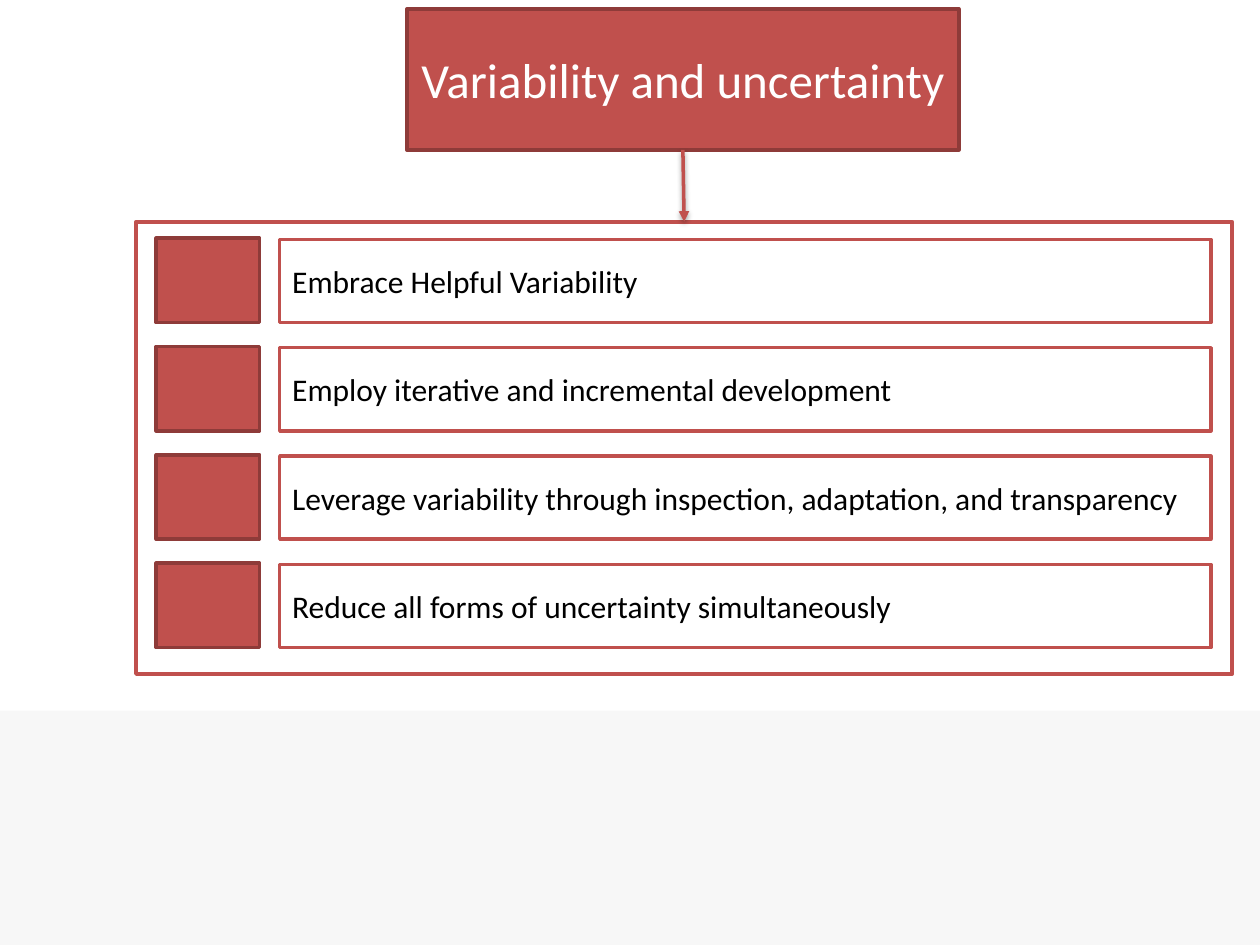
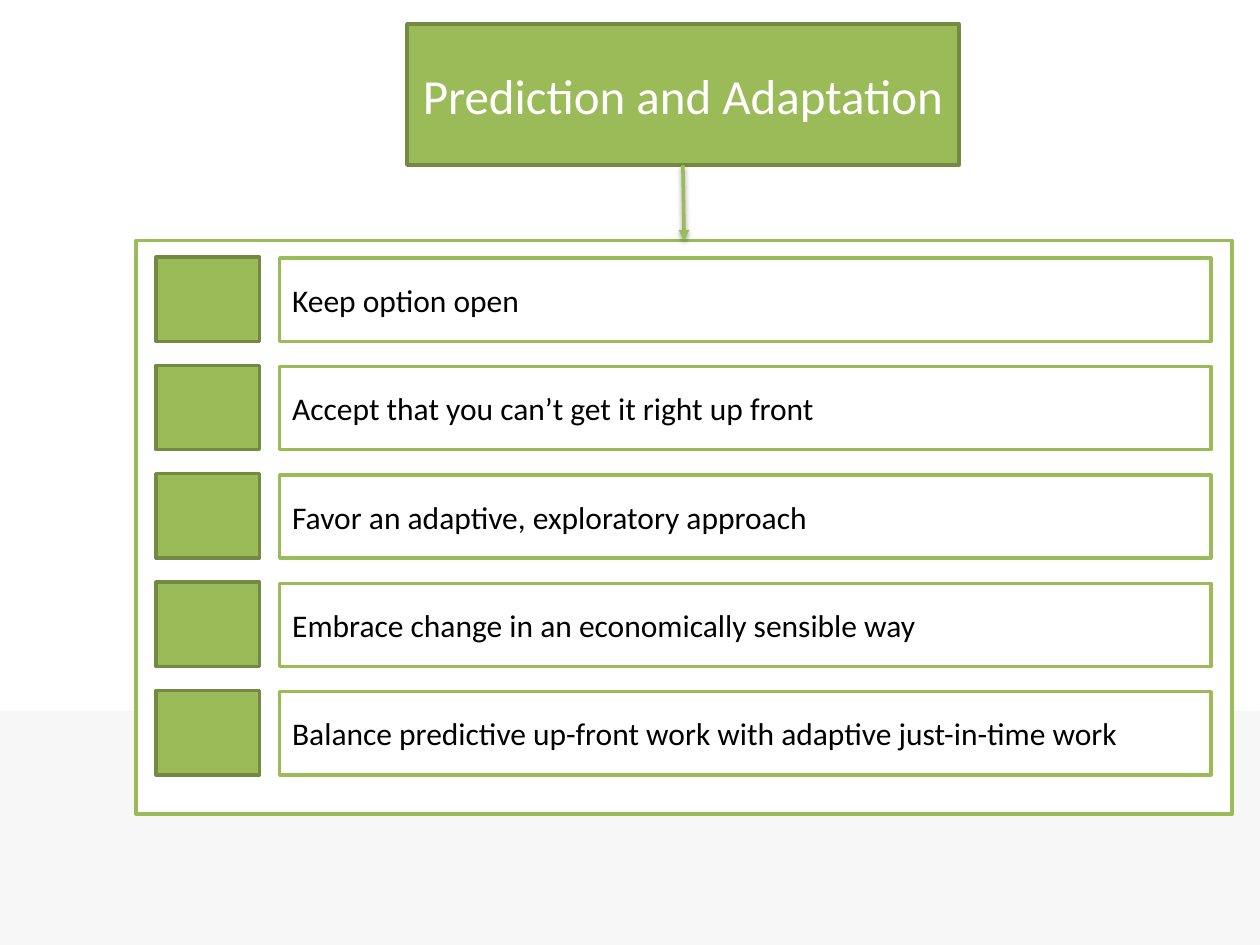
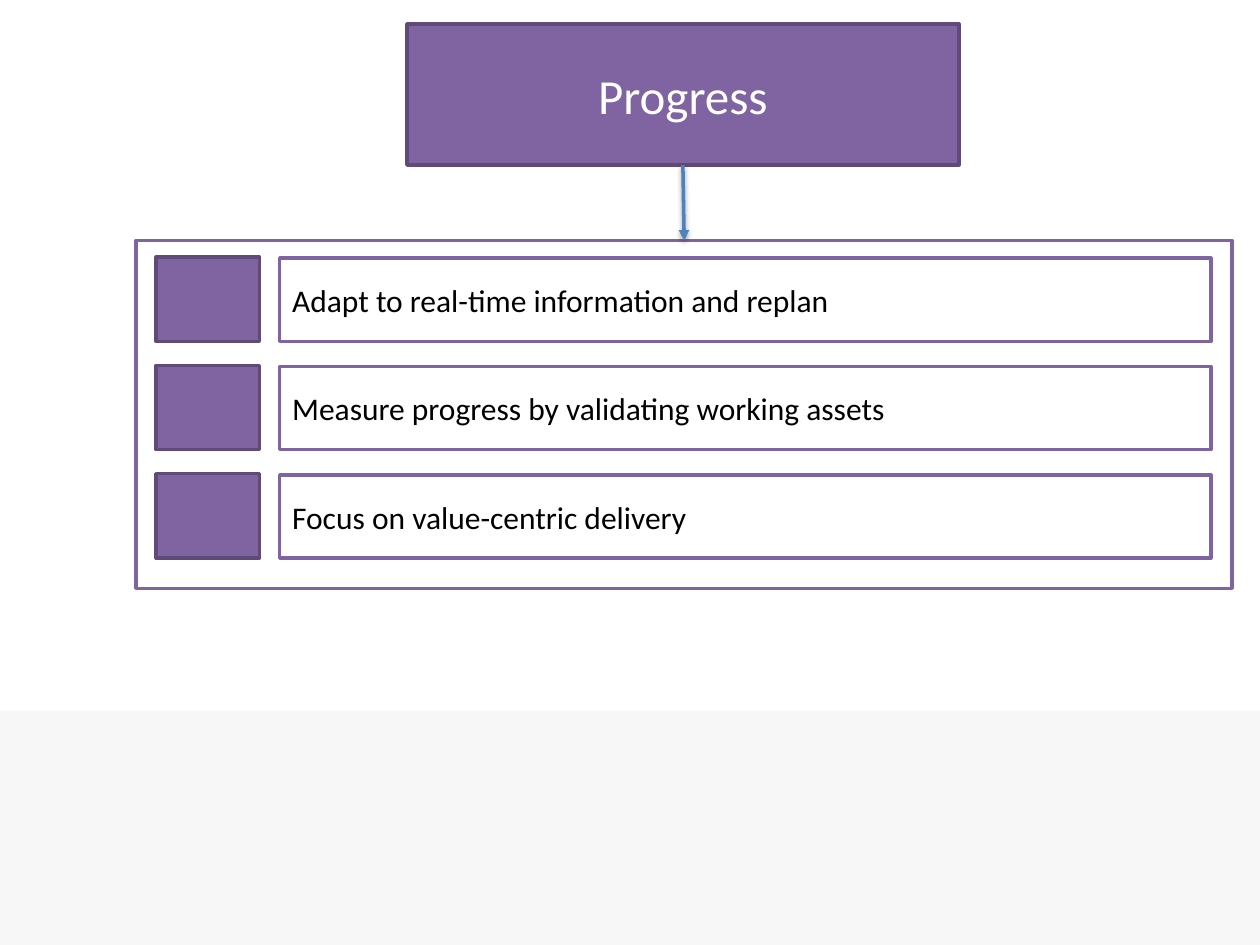
from lxml.etree import SubElement
from pptx import Presentation
from pptx.dml.color import RGBColor
from pptx.enum.shapes import MSO_CONNECTOR, MSO_SHAPE
from pptx.enum.text import MSO_ANCHOR, MSO_AUTO_SIZE, PP_ALIGN
from pptx.oxml import parse_xml
from pptx.oxml.ns import nsdecls, qn
from pptx.util import Inches, Pt

HUES = {
    "white": "FFFFFF", "black": "000000", "band": "F7F7F7",
    "red": "C0504D", "red edge": "8E3B39",
    "green": "9BBB59", "green edge": "738A42",
    "purple": "8064A2", "purple edge": "5F4A78",
    "blue": "4F81BD",
}
FONT = "Calibri"

TOPICS = [
    {"title": "Variability and uncertainty", "hue": "red", "arrow": "red",
     "top": 0.07, "gap": 0.57, "tall": 3.59,
     "items": ["Embrace Helpful Variability",
               "Employ iterative and incremental development",
               "Leverage variability through inspection, adaptation, and transparency",
               "Reduce all forms of uncertainty simultaneously"]},
    {"title": "Prediction and Adaptation", "hue": "green", "arrow": "green",
     "top": 0.19, "gap": 0.6, "tall": 4.55,
     "items": ["Keep option open",
               "Accept that you can’t get it right up front",
               "Favor an adaptive, exploratory approach",
               "Embrace change in an economically sensible way",
               "Balance predictive up-front work with adaptive just-in-time work"]},
    {"title": "Progress", "hue": "purple", "arrow": "blue",
     "top": 0.19, "gap": 0.6, "tall": 2.76,
     "items": ["Adapt to real-time information and replan",
               "Measure progress by validating working assets",
               "Focus on value-centric delivery"]},
]

HEAD = 1.12
INSET = 0.13
PITCH = 0.86

SHADOW = f"""<a:effectLst {nsdecls("a")}>
<a:outerShdw blurRad="40000" dist="20000" dir="5400000" rotWithShape="0">
<a:srgbClr val="{HUES["black"]}"><a:alpha val="38000"/></a:srgbClr>
</a:outerShdw></a:effectLst>"""


def tint(name):
    return RGBColor.from_string(HUES[name])


def paint(shape, fill, edge=None):
    shape.fill.solid()
    shape.fill.fore_color.rgb = tint(fill)
    if edge:
        shape.line.color.rgb = tint(edge)
        shape.line.width = Pt(2)
    else:
        shape.line.fill.background()


def add_box(slide, left, top, width, height, fill, edge=None):
    box = slide.shapes.add_shape(MSO_SHAPE.RECTANGLE, Inches(left), Inches(top),
                                 Inches(width), Inches(height))
    box.shadow.inherit = False
    paint(box, fill, edge)
    return box


def write(shape, text, size, hue, align):
    frame = shape.text_frame
    frame.text = text
    frame.word_wrap = True
    frame.auto_size = MSO_AUTO_SIZE.NONE
    frame.vertical_anchor = MSO_ANCHOR.MIDDLE
    para = frame.paragraphs[0]
    para.alignment = align
    para.font.name = FONT
    para.font.size = Pt(size)
    para.font.color.rgb = tint(hue)


def add_title(slide, topic):
    title = slide.shapes.title
    title.left, title.top = Inches(3.23), Inches(topic["top"])
    title.width, title.height = Inches(4.38), Inches(HEAD)
    paint(title, topic["hue"], topic["hue"] + " edge")
    write(title, topic["title"], 28, "white", PP_ALIGN.CENTER)
    return title


def add_arrow(slide, start, end, hue):
    arrow = slide.shapes.add_connector(MSO_CONNECTOR.STRAIGHT, 0, 0, 0, 0)
    arrow.begin_connect(start, 2)
    arrow.end_connect(end, 0)
    arrow.line.color.rgb = tint(hue)
    arrow.line.width = Pt(2)
    SubElement(arrow.line._get_or_add_ln(), qn("a:tailEnd"), type="triangle")
    arrow.element.spPr.append(parse_xml(SHADOW))


def add_topic(slide, topic):
    hue = topic["hue"]
    title = add_title(slide, topic)
    top = topic["top"] + HEAD + topic["gap"]
    panel = add_box(slide, 1.08, top, 8.7, topic["tall"], "white", hue)
    add_arrow(slide, title, panel, topic["arrow"])
    for row, text in enumerate(topic["items"]):
        y = top + INSET + row * PITCH
        label = add_box(slide, 2.22, y + 0.01, 7.39, 0.66, "white", hue)
        write(label, text, 18, "black", PP_ALIGN.LEFT)
        add_box(slide, 1.24, y, 0.82, 0.67, hue, hue + " edge")


def main():
    deck = Presentation()
    deck.slide_width, deck.slide_height = Inches(10), Inches(7.5)
    layout = deck.slide_layouts[5]
    slides = [deck.slides.add_slide(layout) for _ in TOPICS]
    band = add_box(slides[0], 0, 5.64, 10, 1.86, "band")
    deck.slide_master.shapes.element.insert(2, band.element)
    for slide, topic in zip(slides, TOPICS):
        add_topic(slide, topic)
    deck.save("out.pptx")


if __name__ == "__main__":
    main()
